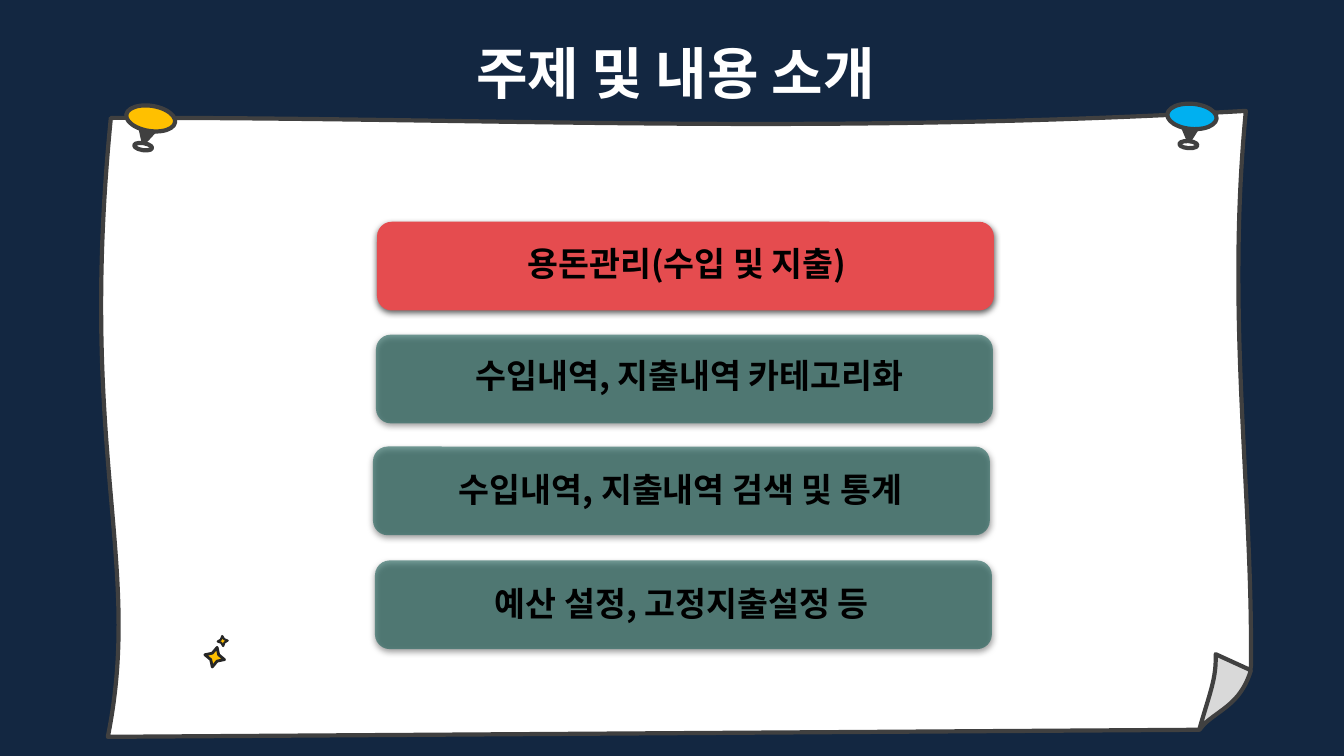
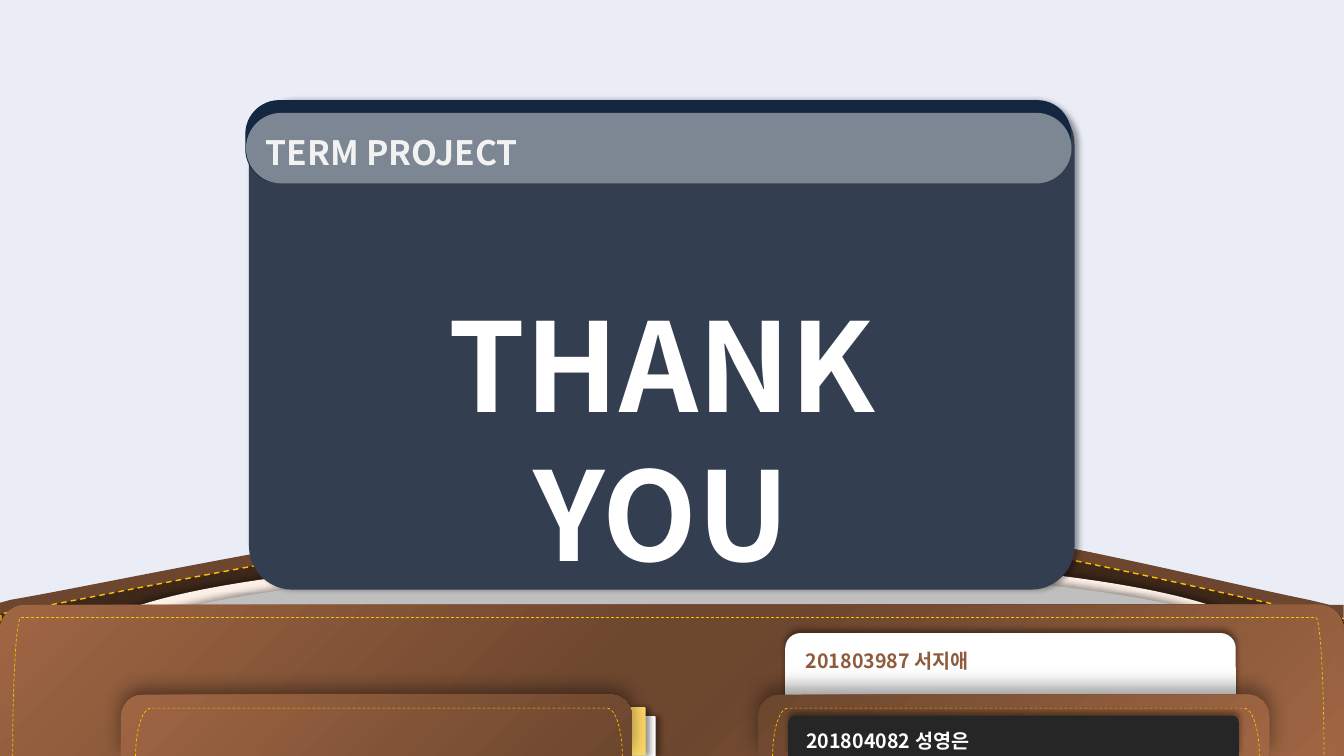
from lxml.etree import SubElement
from pptx import Presentation
from pptx.dml.color import RGBColor
from pptx.enum.dml import MSO_LINE
from pptx.enum.shapes import MSO_SHAPE as S
from pptx.enum.text import MSO_ANCHOR as ANCHOR, PP_ALIGN as ALIGN
from pptx.oxml.ns import qn
from pptx.util import Emu, Pt

PX = 9144
SLIDE_W, SLIDE_H = Emu(12192000), Emu(6858000)
FONT = "Noto Sans CJK KR"

NAVY = RGBColor(0x13, 0x27, 0x41)
SLATE = RGBColor(0x33, 0x3F, 0x50)
PALE = RGBColor(0xEA, 0xED, 0xF6)
WHITE = RGBColor(0xFF, 0xFF, 0xFF)
BLACK = RGBColor(0, 0, 0)
INK = RGBColor(0x40, 0x40, 0x40)
DARK = RGBColor(0x26, 0x26, 0x26)
FOLD = RGBColor(0xD9, 0xD9, 0xD9)
SILVER = RGBColor(0xBF, 0xBF, 0xBF)
MIST = RGBColor(0xE7, 0xE6, 0xE6)
GOLD = RGBColor(0xFF, 0xC0, 0x00)
YELLOW = RGBColor(0xFF, 0xD9, 0x66)
BLUE = RGBColor(0x00, 0xB0, 0xF0)
RED = RGBColor(0xE5, 0x4C, 0x4F)
GREEN = RGBColor(0x18, 0x5C, 0x54)
CREAM = RGBColor(0xFD, 0xF0, 0xE7)
TAN = RGBColor(0x9F, 0x66, 0x43)
BROWN = RGBColor(0x6C, 0x46, 0x2E)
SEAM = RGBColor(0x6E, 0x47, 0x2F)
UMBER = RGBColor(0x3E, 0x28, 0x1A)
RUST = RGBColor(0x8E, 0x5B, 0x3C)

OUTLINE = (INK, 3)
STITCH = (GOLD, 0.5, MSO_LINE.DASH)
CARD_SHADOW = (63, 4.5, 1.5, 90)
UP_SHADOW = (40, 4, 3, 270)
SIDE_SHADOW = (40, 4, 3, 0)

TITLE = "주제 및 내용 소개"
TOPICS = [
    ("용돈관리(수입 및 지출)", (374, 220), (379, 247, 605, 42), RED, 100),
    ("수입내역, 지출내역 카테고리화", (373, 332), (378, 358, 612, 42),
     GREEN, 59),
    ("수입내역, 지출내역 검색 및 통계 ", (370, 443), (373, 471, 612, 42),
     GREEN, 59),
    ("예산 설정, 고정지출설정 등 ", (372, 556), (374, 584, 612, 42),
     GREEN, 59),
]
TOPIC_SIZE = (612, 88)

PAPER_BOX = (100, 110, 1141, 621)
PAPER = [(1236, 110), (1216, 317, 1243, 488, 1241, 661),
         (1241, 669, 1231, 675, 1231, 682), (1216, 697), (1208, 702),
         (1190, 724), (107, 731), (142, 557, 77, 450, 110, 117),
         (474, 116, 800, 135, 1236, 110)]
CORNER_BOX = (1190, 649, 51, 74)
CORNER = [(1241, 665), (1206, 649), (1207, 673, 1200, 688, 1190, 723),
          (1207, 704, 1230, 701, 1241, 665)]
PINS = [
    (125, 105, GOLD, 0, (9, 15.1, 9)),
    (1158, 103, BLUE, 2, (4.3, 4.7, 4.9)),
]
STARS = [(203, 642, 20, 13.9, 2), (216, 631, 10, 354.8, 1.5)]

BACK_BOX = (0, 496, 1333, 195)
WALLET_BACK = [(694, 497), (898, 497, 1179, 571, 1298, 595), (1319, 600),
               (1333, 600), (1333, 602), (1333, 608), (1333, 686),
               (1226, 686), (1208, 689), (1199, 690, 1193, 691, 1193, 691),
               (702, 686), (683, 686), (33, 679),
               (21, 678, 10, 678, 1, 677), (0, 677), (0, 675), (0, 643),
               (0, 611), (0, 599), (0, 598), (11, 595),
               (124, 576, 476, 496, 694, 497)]
LINING_BOX = (1, 508, 1333, 195)
WALLET_LINING = [(695, 508), (913, 509, 1218, 593, 1321, 611), (1334, 614),
                 (1334, 620), (1330, 619), (1322, 619, 1315, 620, 1315, 622),
                 (1314, 630, 1320, 651, 1319, 661),
                 (1318, 672, 1328, 675, 1307, 682),
                 (1286, 689, 1194, 703, 1194, 703), (34, 691),
                 (22, 690, 11, 689, 2, 689), (1, 689), (1, 655),
                 (8, 652), (12, 651, 15, 649, 15, 648),
                 (12, 637, 20, 632, 20, 626), (20, 624, 12, 624, 3, 623),
                 (1, 623), (1, 609), (12, 607),
                 (125, 588, 477, 508, 695, 508)]
LEATHER = [(0, TAN), (46, BROWN), (55, SEAM), (100, TAN)]
TAN_TO_BROWN = [(0, TAN), (100, BROWN)]
BROWN_TO_TAN = [(0, BROWN), (100, TAN)]

POCKET_ADJ = (0.354, 0)
NOTE_ADJ = (0.03, 0)
WALLET_PARTS = [
    dict(kind=S.FLOWCHART_DELAY, box=(586, 54, 167, 1160), rot=270,
         fill=CREAM, shadow=UP_SHADOW),
    dict(kind=S.FLOWCHART_DELAY, box=(596, 66, 167, 1160), rot=270,
         fill=SILVER, shadow=UP_SHADOW),
    dict(kind=S.ROUND_2_SAME_RECTANGLE, box=(0, 600, 1333, 150), fill=LEATHER),
    dict(kind=S.ROUND_2_SAME_RECTANGLE, box=(779, 628, 447, 91), fill=WHITE,
         shadow=UP_SHADOW, member=("201803987 서지애", RUST)),
    dict(kind=S.ROUND_2_SAME_RECTANGLE, box=(752, 689, 507, 61),
         adj=POCKET_ADJ, fill=TAN_TO_BROWN, shadow=(40, 14, 6, 270)),
    dict(kind=S.RIGHT_BRACKET, box=(984, 485, 48, 483), rot=270, adj=(0.317,),
         line=STITCH),
    dict(kind=S.RIGHT_BRACKET, box=(594, 31, 138, 1301), rot=270, adj=(0.059,),
         line=STITCH),
    dict(kind=S.ROUND_2_SAME_RECTANGLE, box=(782, 710, 447, 40), fill=DARK,
         shadow=UP_SHADOW, member=("201804082 성영은", WHITE)),
    dict(kind=S.ROUND_2_SAME_RECTANGLE, box=(599, 699, 40, 63), rot=90,
         adj=NOTE_ADJ, fill=WHITE, shadow=SIDE_SHADOW),
    dict(kind=S.ROUND_2_SAME_RECTANGLE, box=(585, 694, 48, 63), rot=90,
         adj=NOTE_ADJ, fill=YELLOW, shadow=SIDE_SHADOW),
    dict(kind=S.ROUND_2_SAME_RECTANGLE, box=(120, 689, 507, 61),
         adj=POCKET_ADJ, fill=BROWN_TO_TAN, shadow=(40, 13, 5, 270)),
    dict(kind=S.RIGHT_BRACKET, box=(352, 485, 48, 483), rot=270, adj=(0.317,),
         line=STITCH),
]
PROJECT = "TERM PROJECT"
THANKS = ["THANK", "YOU"]


def px(n):
    return Emu(round(n * PX))


def add_color(parent, color, alpha=100):
    clr = SubElement(parent, qn("a:srgbClr"), val=str(color))
    if alpha < 100:
        SubElement(clr, qn("a:alpha"), val=str(alpha * 1000))


def gradient(sp, stops):
    sp.fill.gradient()
    grad = sp._element.spPr.find(qn("a:gradFill"))
    for child in list(grad):
        grad.remove(child)
    gs_list = SubElement(grad, qn("a:gsLst"))
    for pos, color in stops:
        add_color(SubElement(gs_list, qn("a:gs"), pos=str(pos * 1000)), color)
    way = SubElement(grad, qn("a:path"), {"path": "circle"})
    SubElement(way, qn("a:fillToRect"), l="100000", t="100000")


def paint(sp, fill=None, line=None, shadow=None, alpha=100):
    if fill is None:
        sp.fill.background()
    elif isinstance(fill, list):
        gradient(sp, fill)
    else:
        sp.fill.solid()
        sp.fill.fore_color.rgb = fill
        if alpha < 100:
            clr = sp._element.spPr.find(qn("a:solidFill"))[0]
            SubElement(clr, qn("a:alpha"), val=str(alpha * 1000))
    if line is None:
        sp.line.fill.background()
    else:
        sp.line.color.rgb = line[0]
        sp.line.width = Pt(line[1])
        if len(line) > 2:
            sp.line.dash_style = line[2]
    sp.shadow.inherit = False
    if shadow:
        opacity, blur, dist, angle = shadow
        outer = SubElement(sp._element.spPr.find(qn("a:effectLst")),
                           qn("a:outerShdw"), blurRad=str(Pt(blur)),
                           dist=str(Pt(dist)), dir=str(angle * 60000),
                           algn="ctr", rotWithShape="0")
        add_color(outer, BLACK, opacity)
    return sp


def add_shape(sl, kind, box, rot=0, adj=(), **look):
    sp = sl.shapes.add_shape(kind, *map(px, box))
    sp.rotation = rot
    for i, value in enumerate(adj):
        sp.adjustments[i] = value
    return paint(sp, **look)


def add_outline(sl, box, outline, **look):
    x, y, w, h = box
    builder = sl.shapes.build_freeform(x, y, scale=PX)
    builder.add_line_segments([(x + w, y), (x + w, y + h), (x, y + h)])
    sp = builder.convert_to_shape()
    track = next(sp._element.iter(qn("a:pathLst")))[0]
    for child in list(track):
        track.remove(child)
    for i, seg in enumerate(outline):
        tag = "a:cubicBezTo" if len(seg) == 6 else "a:lnTo"
        step = SubElement(track, qn(tag if i else "a:moveTo"))
        for px_x, px_y in zip(seg[::2], seg[1::2]):
            SubElement(step, qn("a:pt"), x=str(px_x - x), y=str(px_y - y))
    SubElement(track, qn("a:close"))
    return paint(sp, **look)


def write(sp, lines, size, color, align=ALIGN.LEFT, anchor=ANCHOR.TOP,
          spacing=None, margins=(10, 5, 10, 5)):
    tf = sp.text_frame
    tf.word_wrap = True
    tf.vertical_anchor = anchor
    (tf.margin_left, tf.margin_top,
     tf.margin_right, tf.margin_bottom) = map(px, margins)
    for i, text in enumerate(lines):
        p = tf.add_paragraph() if i else tf.paragraphs[0]
        p.alignment = align
        p.line_spacing = spacing
        r = p.add_run()
        r.text = text
        r.font.size = Pt(size)
        r.font.bold = True
        r.font.name = FONT
        r.font.color.rgb = color
        SubElement(r._r.get_or_add_rPr(), qn("a:ea"), typeface=FONT)


def add_text(sl, box, *args, **style):
    write(sl.shapes.add_textbox(*map(px, box)), *args, **style)


def add_slide(prs, color):
    sl = prs.slides.add_slide(prs.slide_layouts[6])
    sl.background.fill.solid()
    sl.background.fill.fore_color.rgb = color
    return sl


def add_pin(sl, x, y, color, lean, tilts):
    ring, needle, head = tilts
    add_shape(sl, S.OVAL, (x + 8 + 2 * lean, y + 37, 18, 7), ring,
              fill=WHITE, line=OUTLINE)
    sp = add_shape(sl, S.ISOSCELES_TRIANGLE, (x + 9 + lean, y + 15, 23, 22),
                   needle, fill=INK, line=OUTLINE)
    sp._element.spPr.find(qn("a:xfrm")).set("flipV", "1")
    add_shape(sl, S.OVAL, (x, y, 49, 25), head, fill=color, line=OUTLINE)


def topics_slide(prs):
    sl = add_slide(prs, NAVY)
    add_outline(sl, PAPER_BOX, PAPER, fill=WHITE, line=OUTLINE)
    add_outline(sl, CORNER_BOX, CORNER, fill=FOLD, line=OUTLINE)
    for pin in PINS:
        add_pin(sl, *pin)
    for x, y, side, rot, width in STARS:
        add_shape(sl, S.STAR_4_POINT, (x, y, side, side), rot, (0.23,),
                  fill=GOLD, line=(DARK, width))
    add_text(sl, (406, 33, 528, 77), [TITLE], 40, WHITE, ALIGN.CENTER)
    for text, corner, text_box, color, alpha in TOPICS:
        add_shape(sl, S.ROUNDED_RECTANGLE, corner + TOPIC_SIZE, fill=color,
                  alpha=alpha, shadow=CARD_SHADOW)
        add_text(sl, text_box, [text], 24, BLACK, ALIGN.CENTER, spacing=0.8,
                 margins=(10, 2, 10, 5))


def closing_slide(prs):
    sl = add_slide(prs, PALE)
    add_outline(sl, BACK_BOX, WALLET_BACK, fill=BROWN)
    add_outline(sl, LINING_BOX, WALLET_LINING, fill=UMBER,
                line=(GOLD, 1, MSO_LINE.DASH))
    for part in WALLET_PARTS:
        look = dict(part)
        member = look.pop("member", None)
        sp = add_shape(sl, **look)
        if member:
            write(sp, member[:1], 14, member[1], margins=(16, 11, 10, 5))
    card = add_shape(sl, S.ROUNDED_RECTANGLE, (247, 100, 819, 485),
                     adj=(0.089,), fill=SLATE, shadow=SIDE_SHADOW)
    write(card, THANKS, 88, WHITE, ALIGN.CENTER, spacing=Pt(106),
          margins=(10, 174, 10, 5))
    band = add_shape(sl, S.ROUNDED_RECTANGLE, (244, 100, 818, 81),
                     adj=(0.407,), fill=NAVY, line=(NAVY, 1))
    write(band, [PROJECT], 24, WHITE, anchor=ANCHOR.MIDDLE, spacing=1.5)
    add_shape(sl, S.ROUNDED_RECTANGLE, (244, 112, 819, 70), adj=(0.5,),
              fill=MIST, alpha=50)


def main():
    prs = Presentation()
    prs.slide_width, prs.slide_height = SLIDE_W, SLIDE_H
    topics_slide(prs)
    closing_slide(prs)
    prs.save("out.pptx")


if __name__ == "__main__":
    main()
